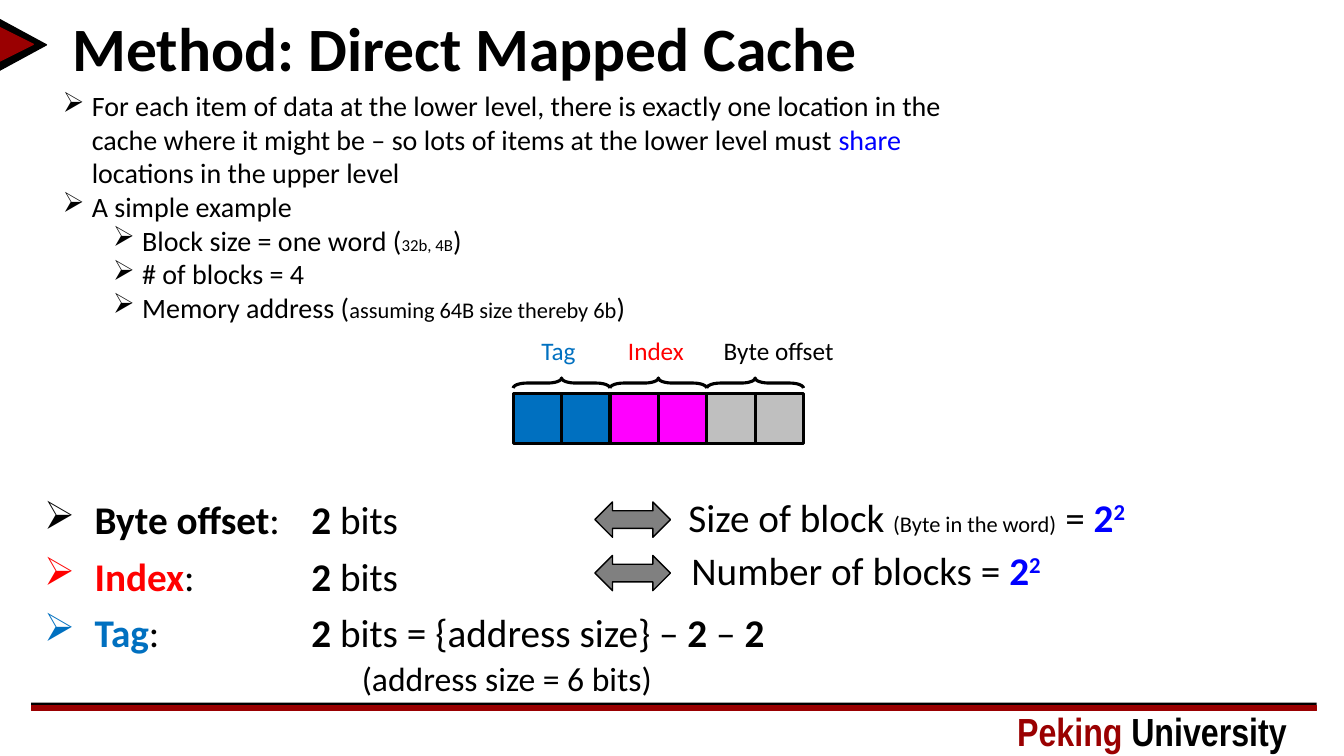
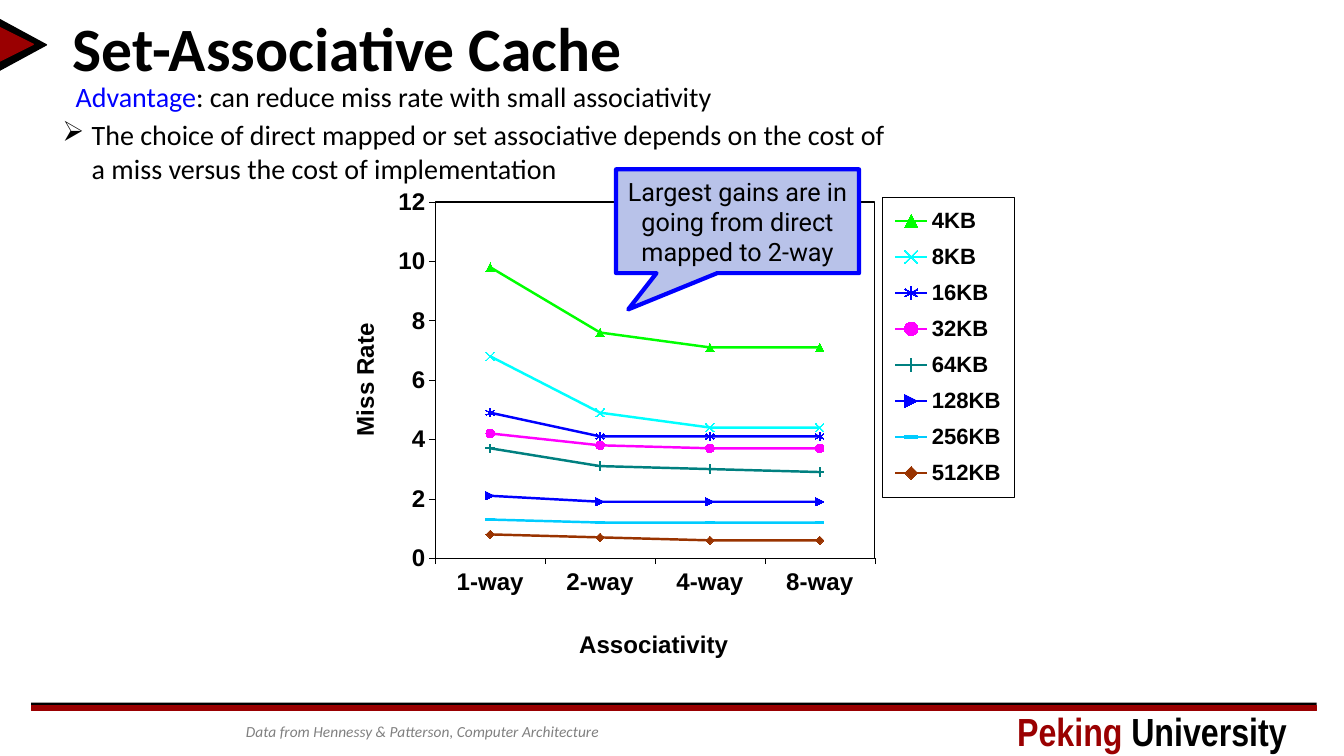
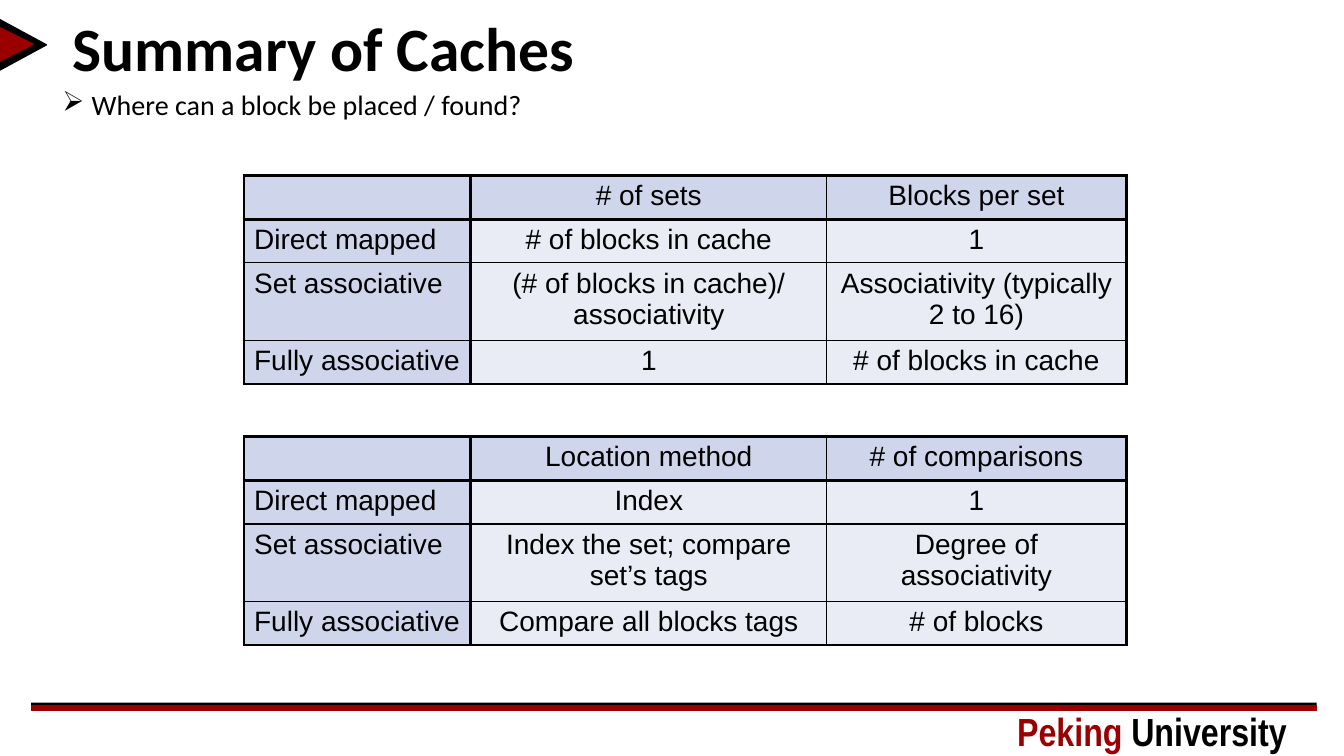
"""Build three slides on cache organisation."""
import dataclasses

import lxml.etree
import pptx
import pptx.chart.data
import pptx.dml.color
import pptx.enum.chart
import pptx.enum.shapes
import pptx.enum.text
import pptx.oxml
import pptx.oxml.ns
import pptx.util

Inches = pptx.util.Inches
Pt = pptx.util.Pt
RGBColor = pptx.dml.color.RGBColor
SHAPE = pptx.enum.shapes.MSO_SHAPE
ANCHOR = pptx.enum.text.MSO_ANCHOR
ALIGN = pptx.enum.text.PP_ALIGN
MARKER = pptx.enum.chart.XL_MARKER_STYLE
qn = pptx.oxml.ns.qn

BLACK = RGBColor(0x00, 0x00, 0x00)
DARK_RED = RGBColor(0x9A, 0x00, 0x01)
RED = RGBColor(0xFF, 0x00, 0x00)
BLUE = RGBColor(0x00, 0x00, 0xFF)
TAG_BLUE = RGBColor(0x00, 0x70, 0xC0)
MAGENTA = RGBColor(0xFF, 0x00, 0xFF)
SILVER = RGBColor(0xBF, 0xBF, 0xBF)
GRAY = RGBColor(0x80, 0x80, 0x80)
CALLOUT_FILL = RGBColor(0xB8, 0xC2, 0xE9)
HEADER_FILL = RGBColor(0xCF, 0xD5, 0xEA)
CELL_FILL = RGBColor(0xE9, 0xEB, 0xF5)
GREEN = RGBColor(0x00, 0xFF, 0x00)
CYAN = RGBColor(0x00, 0xFF, 0xFF)
TEAL = RGBColor(0x00, 0x80, 0x80)
SKY = RGBColor(0x00, 0xCC, 0xFF)
BROWN = RGBColor(0x99, 0x33, 0x00)

BOLD = {"bold": True}
POWER_BASE = ("2", {"bold": True, "color": BLUE})
POWER_EXPONENT = ("2", {"bold": True, "color": BLUE, "superscript": True})


@dataclasses.dataclass
class TextLine:
    runs: list
    size: float = 20
    font: str = "Calibri"
    color: RGBColor = BLACK
    bold: bool = False
    italic: bool = False
    align: ALIGN = ALIGN.LEFT
    spacing: float = 1.0
    before: float = 0
    margin: float = 0
    hanging: float = 0
    bullet: bool = False
    tab: float = 0


def bullet_line(runs, level=0):
    return TextLine(runs, margin=0.29 + 0.5 * level, hanging=0.29, bullet=True)


def style_run(run, bold=None, size=None, color=None, superscript=False):
    if bold is not None:
        run.font.bold = bold
    if size:
        run.font.size = Pt(size)
    if color is not None:
        run.font.color.rgb = color
    if superscript:
        run.font._element.set("baseline", "30000")


def write_line(paragraph, line):
    properties = paragraph._p.get_or_add_pPr()
    if line.margin:
        properties.set("marL", str(Inches(line.margin)))
        properties.set("indent", str(-Inches(line.hanging)))
    if line.bullet:
        lxml.etree.SubElement(properties, qn("a:buChar")).set("char", "➢")
    if line.tab:
        tabs = lxml.etree.SubElement(properties, qn("a:tabLst"))
        stop = lxml.etree.SubElement(tabs, qn("a:tab"))
        stop.set("pos", str(Inches(line.tab)))
        stop.set("algn", "l")
    paragraph.alignment = line.align
    paragraph.line_spacing = line.spacing
    if line.before:
        paragraph.space_before = Pt(line.before)
    font = paragraph.font
    font.name, font.size = line.font, Pt(line.size)
    font.bold, font.italic = line.bold, line.italic
    font.color.rgb = line.color
    for item in line.runs:
        text, style = (item, {}) if isinstance(item, str) else item
        run = paragraph.add_run()
        run.text = text
        style_run(run, **style)


def write_lines(frame, lines):
    for index, line in enumerate(lines):
        write_line(frame.add_paragraph() if index else frame.paragraphs[0], line)


def add_text(slide, box, lines, anchor=ANCHOR.TOP, inset=True, wrap=True):
    frame = slide.shapes.add_textbox(*map(Inches, box)).text_frame
    frame.word_wrap = wrap
    frame.vertical_anchor = anchor
    if not inset:
        frame.margin_left = frame.margin_right = 0
        frame.margin_top = frame.margin_bottom = 0
    write_lines(frame, lines)


def add_shape(slide, kind, box, fill=None, line=BLACK, width=1.0, rotation=0):
    shape = slide.shapes.add_shape(kind, *map(Inches, box))
    shape.shadow.inherit = False
    shape.rotation = rotation
    if fill is None:
        shape.fill.background()
    else:
        shape.fill.solid()
        shape.fill.fore_color.rgb = fill
    if line is None:
        shape.line.fill.background()
    else:
        shape.line.color.rgb = line
        shape.line.width = Pt(width)
    return shape


def add_framed_slide(presentation, title):
    slide = presentation.slides.add_slide(presentation.slide_layouts[6])
    add_shape(slide, SHAPE.RECTANGLE, (0.31, 6.97, 12.75, 0.03), BLACK, None)
    add_shape(slide, SHAPE.RECTANGLE, (0.31, 7, 12.75, 0.05), DARK_RED, DARK_RED)
    for box, color in (((-0.03, 0.21, 0.51, 0.47), BLACK),
                       ((-0.01, 0.27, 0.34, 0.34), DARK_RED)):
        add_shape(slide, SHAPE.ISOSCELES_TRIANGLE, box, color, color, rotation=90)
    add_text(slide, (9.99, 6.97, 3.16, 0.57), [TextLine(
        [("Peking ", {"color": DARK_RED}), "University"],
        size=28, font="Arial Narrow", bold=True)])
    add_text(slide, (0.62, 0.15, 12.41, 0.73),
             [TextLine([title], size=44, bold=True, spacing=0.9)], ANCHOR.MIDDLE)
    return slide


def add_address_field(slide, left, fill, label, label_color, label_left, label_width):
    cell = 0.48
    for index in range(2):
        add_shape(slide, SHAPE.RECTANGLE, (left + index * cell, 3.9, cell, 0.5),
                  fill, width=2.25)
    brace = add_shape(slide, SHAPE.RIGHT_BRACE, (left + cell - 0.05, 3.32, 0.1, 2 * cell),
                      width=2.25, rotation=270)
    brace.adjustments[0], brace.adjustments[1] = 1.37, 0.5
    add_text(slide, (label_left, 3.28, label_width, 0.4),
             [TextLine([label], size=18, color=label_color)], wrap=False)


def add_equivalence(slide, top, left, width, runs):
    add_shape(slide, SHAPE.LEFT_RIGHT_ARROW, (5.9, top, 0.75, 0.35), GRAY)
    add_text(slide, (left, top - 0.14, width, 0.57),
             [TextLine(runs + [POWER_BASE, POWER_EXPONENT], size=28)], wrap=False)


def bit_line(name, color, runs, before=10):
    return TextLine([(name, {"bold": True, "color": color}), ":\t", ("2", BOLD)] + runs,
                    size=28, color=BLACK, spacing=0.9, before=before,
                    margin=0.5, hanging=0.5, bullet=True, tab=2.65)


def build_direct_mapped(presentation):
    slide = add_framed_slide(presentation, "Method: Direct Mapped Cache")
    add_text(slide, (0.34, 4.92, 12.69, 1.87), [
        bit_line("Byte offset", BLACK, [" bits"], before=0),
        bit_line("Index", RED, [" bits"]),
        bit_line("Tag", TAG_BLUE, [" bits = {address size} – ", ("2", BOLD),
                                   " – ", ("2", BOLD)]),
        TextLine(["(address size = 6 bits)"], size=24, spacing=0.9, before=5,
                 margin=3.15),
    ])
    add_text(slide, (0.62, 0.88, 9.22, 2.36), [
        bullet_line(["For each item of data at the lower level, there is exactly one "
                     "location in the cache where it might be – so lots of items at "
                     "the lower level must ", ("share", {"color": BLUE}),
                     " locations in the upper level"]),
        bullet_line(["A simple example"]),
        bullet_line(["Block size = one word (", ("32b, 4B", {"size": 12}), ")"], 1),
        bullet_line(["# of blocks = 4"], 1),
        bullet_line(["Memory address (",
                     ("assuming 64B size thereby 6b", {"size": 16}), ")"], 1),
    ], inset=False)
    fields = [
        (TAG_BLUE, "Tag", TAG_BLUE, 5.27, 0.55),
        (MAGENTA, "Index", RED, 6.13, 0.79),
        (SILVER, "Byte offset", BLACK, 7.08, 1.34),
    ]
    for index, field in enumerate(fields):
        add_address_field(slide, 5.09 + 0.96 * index, *field)
    add_equivalence(slide, 4.98, 6.73, 4.61,
                    ["Size of block ", ("(Byte in the word)", {"size": 16}), " = "])
    add_equivalence(slide, 5.51, 6.76, 3.73, ["Number of blocks = "])


def place_chart_part(element, index, **values):
    for old in element.findall(qn("c:layout")):
        element.remove(old)
    layout = lxml.etree.Element(qn("c:layout"))
    manual = lxml.etree.SubElement(layout, qn("c:manualLayout"))
    for name, value in values.items():
        lxml.etree.SubElement(manual, qn("c:" + name)).set("val", str(value))
    element.insert(index, layout)


def outline_xml(points):
    return pptx.oxml.parse_xml(
        f'<c:spPr {pptx.oxml.ns.nsdecls("c", "a")}><a:noFill/><a:ln w="{Pt(points)}">'
        f'<a:solidFill><a:srgbClr val="{BLACK}"/></a:solidFill></a:ln></c:spPr>')


def style_chart_font(font, size):
    font.name, font.size, font.bold = "Arial", Pt(size), True
    font.color.rgb = BLACK


def style_axis(axis, title, x, y):
    axis.has_major_gridlines = False
    axis.major_tick_mark = pptx.enum.chart.XL_TICK_MARK.OUTSIDE
    axis.format.line.color.rgb = BLACK
    axis.format.line.width = Pt(0.22)
    style_chart_font(axis.tick_labels.font, 17.2)
    paragraph = axis.axis_title.text_frame.paragraphs[0]
    paragraph.add_run().text = title
    style_chart_font(paragraph.font, 17.2)
    place_chart_part(axis.axis_title._element, 1, xMode="edge", yMode="edge", x=x, y=y)


def add_miss_rate_chart(slide):
    series_rows = [
        ("4KB", (9.8, 7.6, 7.1, 7.1), GREEN, MARKER.TRIANGLE, True),
        ("8KB", (6.8, 4.9, 4.4, 4.4), CYAN, MARKER.X, False),
        ("16KB", (4.9, 4.1, 4.1, 4.1), BLUE, MARKER.STAR, False),
        ("32KB", (4.2, 3.8, 3.7, 3.7), MAGENTA, MARKER.CIRCLE, True),
        ("64KB", (3.7, 3.1, 3, 2.9), TEAL, MARKER.PLUS, False),
        ("128KB", (2.1, 1.9, 1.9, 1.9), BLUE, MARKER.DOT, False),
        ("256KB", (1.3, 1.2, 1.2, 1.2), SKY, MARKER.DASH, False),
        ("512KB", (0.8, 0.7, 0.6, 0.6), BROWN, MARKER.DIAMOND, True),
    ]
    data = pptx.chart.data.CategoryChartData()
    data.categories = ["1-way", "2-way", "4-way", "8-way"]
    for name, values, *_ in series_rows:
        data.add_series(name, values)
    chart = slide.shapes.add_chart(pptx.enum.chart.XL_CHART_TYPE.LINE_MARKERS,
                                   *map(Inches, (3.21, 1.65, 6.92, 5.05)), data).chart
    chart.has_title = False
    style_chart_font(chart.font, 17.2)
    plot = chart.plots[0]
    plot.vary_by_categories = False
    for series, (_, _, color, marker, filled) in zip(plot.series, series_rows):
        series.smooth = False
        series.format.line.color.rgb = color
        series.format.line.width = Pt(1.75)
        series.marker.style, series.marker.size = marker, 6
        series.marker.format.line.color.rgb = color
        if filled:
            series.marker.format.fill.solid()
            series.marker.format.fill.fore_color.rgb = color
        else:
            series.marker.format.fill.background()
    style_axis(chart.category_axis, "Associativity", 0.36, 0.9)
    style_axis(chart.value_axis, "Miss Rate", 0.03, 0.3)
    chart.value_axis.minimum_scale, chart.value_axis.maximum_scale = 0, 12
    chart.value_axis.major_unit = 2
    chart.has_legend = True
    legend = chart.legend
    legend.position = pptx.enum.chart.XL_LEGEND_POSITION.RIGHT
    legend.include_in_layout = False
    style_chart_font(legend.font, 15.8)
    place_chart_part(legend._element, 1, xMode="edge", yMode="edge",
                     x=0.8, y=0.06, w=0.19, h=0.59)
    legend._element.find(qn("c:txPr")).addprevious(outline_xml(0.25))
    plot_area = chart._chartSpace.chart.plotArea
    place_chart_part(plot_area, 0, layoutTarget="inner", xMode="edge", yMode="edge",
                     x=0.16, y=0.07, w=0.63, h=0.7)
    plot_area.append(outline_xml(1))


def build_set_associative(presentation):
    slide = add_framed_slide(presentation, "Set-Associative Cache")
    add_text(slide, (2.44, 7.05, 8.77, 0.45), [TextLine(
        ["Data from Hennessy & Patterson, Computer Architecture"],
        size=11, color=GRAY, italic=True, spacing=0.8)], ANCHOR.MIDDLE, inset=False)
    add_text(slide, (0.62, 1.17, 8.33, 0.67), [bullet_line(
        ["The choice of direct mapped or set associative depends on the cost of a miss "
         "versus the cost of implementation"])], inset=False)
    add_miss_rate_chart(slide)
    callout = add_shape(slide, SHAPE.RECTANGULAR_CALLOUT, (6.11, 1.68, 2.41, 1.03),
                        CALLOUT_FILL, BLUE, 3)
    callout.adjustments[0], callout.adjustments[1] = -0.45, 0.85
    callout.text_frame.word_wrap = True
    callout.text_frame.vertical_anchor = ANCHOR.MIDDLE
    write_lines(callout.text_frame, [TextLine(
        ["Largest gains are in going from direct mapped to 2-way"],
        size=18, font="Roboto", align=ALIGN.CENTER)])
    add_text(slide, (0.75, 0.76, 8.77, 0.45), [TextLine(
        [("Advantage", {"color": BLUE}),
         ": can reduce miss rate with small associativity"],
        spacing=0.8)], ANCHOR.MIDDLE, inset=False)


def border_width(edge, last):
    return 1 if 1 < edge < last else 2.25


def set_cell_borders(cell, row, column, row_count, column_count):
    properties = cell._tc.get_or_add_tcPr()
    widths = {
        "lnL": border_width(column, column_count),
        "lnR": border_width(column + 1, column_count),
        "lnT": border_width(row, row_count),
        "lnB": border_width(row + 1, row_count),
    }
    for index, (side, width) in enumerate(widths.items()):
        border = lxml.etree.Element(qn("a:" + side))
        border.set("w", str(Pt(width)))
        fill = lxml.etree.SubElement(border, qn("a:solidFill"))
        lxml.etree.SubElement(fill, qn("a:srgbClr")).set("val", str(BLACK))
        properties.insert(index, border)


def add_cache_table(slide, top, rows):
    widths, heights = (2.25, 3.53, 2.97), (0.41, 0.41, 0.72, 0.41)
    table = slide.shapes.add_table(
        len(rows), len(widths), Inches(2.42), Inches(top),
        Inches(sum(widths)), Inches(sum(heights))).table
    table.first_row = table.horz_banding = False
    for column, width in zip(table.columns, widths):
        column.width = Inches(width)
    for row, height in zip(table.rows, heights):
        row.height = Inches(height)
    for row, texts in enumerate(rows):
        for column, text in enumerate(texts):
            cell = table.cell(row, column)
            cell.fill.solid()
            cell.fill.fore_color.rgb = CELL_FILL if row and column else HEADER_FILL
            set_cell_borders(cell, row, column, len(rows), len(widths))
            write_lines(cell.text_frame, [TextLine(
                [text] if text else [], font="Arial",
                align=ALIGN.CENTER if column else ALIGN.LEFT)])


def build_summary(presentation):
    slide = add_framed_slide(presentation, "Summary of Caches")
    add_cache_table(slide, 1.74, [
        ("", "# of sets", "Blocks per set"),
        ("Direct mapped", "# of blocks in cache", "1"),
        ("Set associative", "(# of blocks in cache)/ associativity",
         "Associativity (typically 2 to 16)"),
        ("Fully associative", "1", "# of blocks in cache"),
    ])
    add_cache_table(slide, 4.33, [
        ("", "Location method", "# of comparisons"),
        ("Direct mapped", "Index", "1"),
        ("Set associative", "Index the set; compare set’s tags",
         "Degree of associativity"),
        ("Fully associative", "Compare all blocks tags", "# of blocks"),
    ])
    add_text(slide, (0.62, 0.87, 5.96, 0.34),
             [bullet_line(["Where can a block be placed / found?"])], inset=False)


def main():
    presentation = pptx.Presentation()
    presentation.slide_width = Inches(13.33)
    presentation.slide_height = Inches(7.5)
    build_direct_mapped(presentation)
    build_set_associative(presentation)
    build_summary(presentation)
    presentation.save("out.pptx")


if __name__ == "__main__":
    main()
